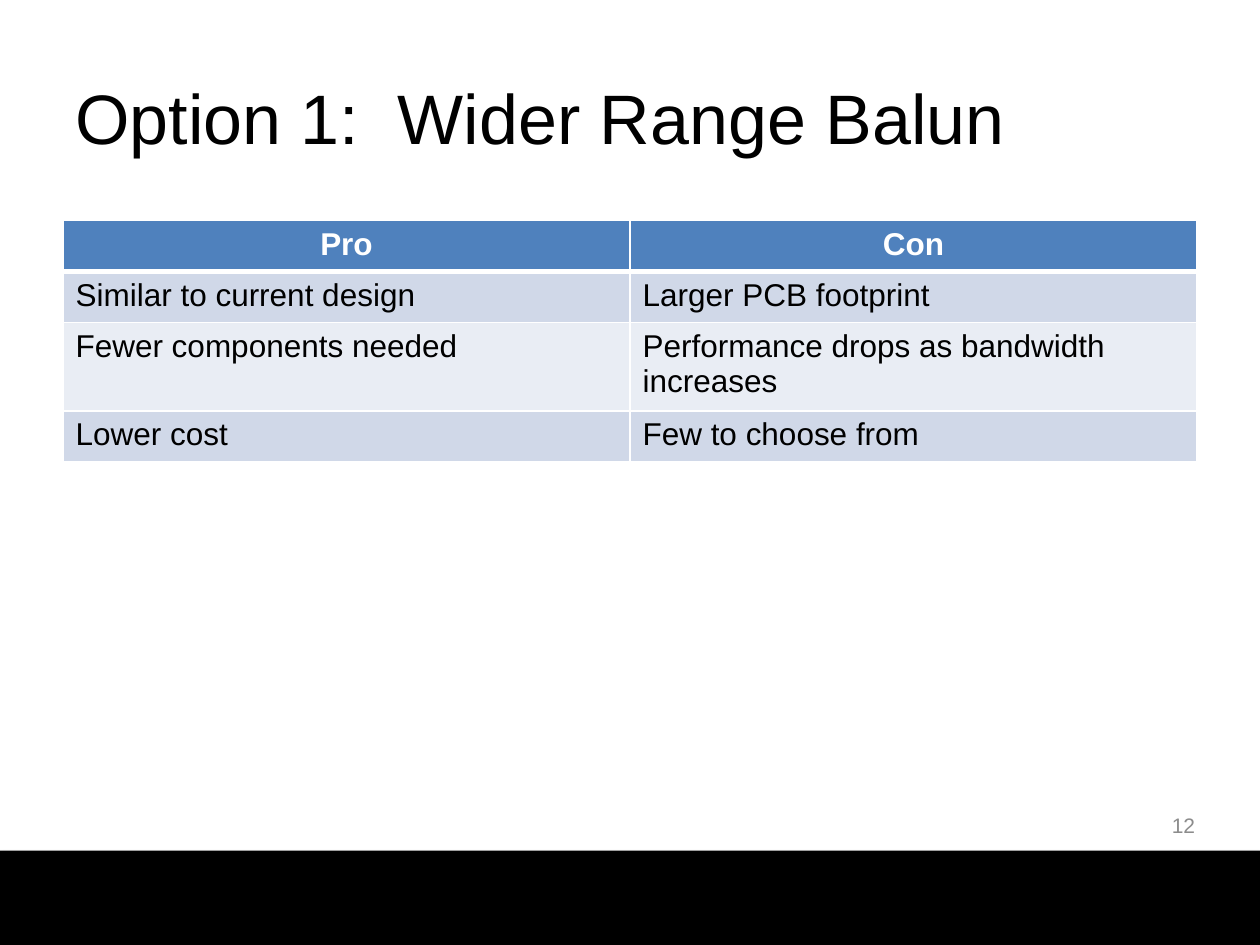
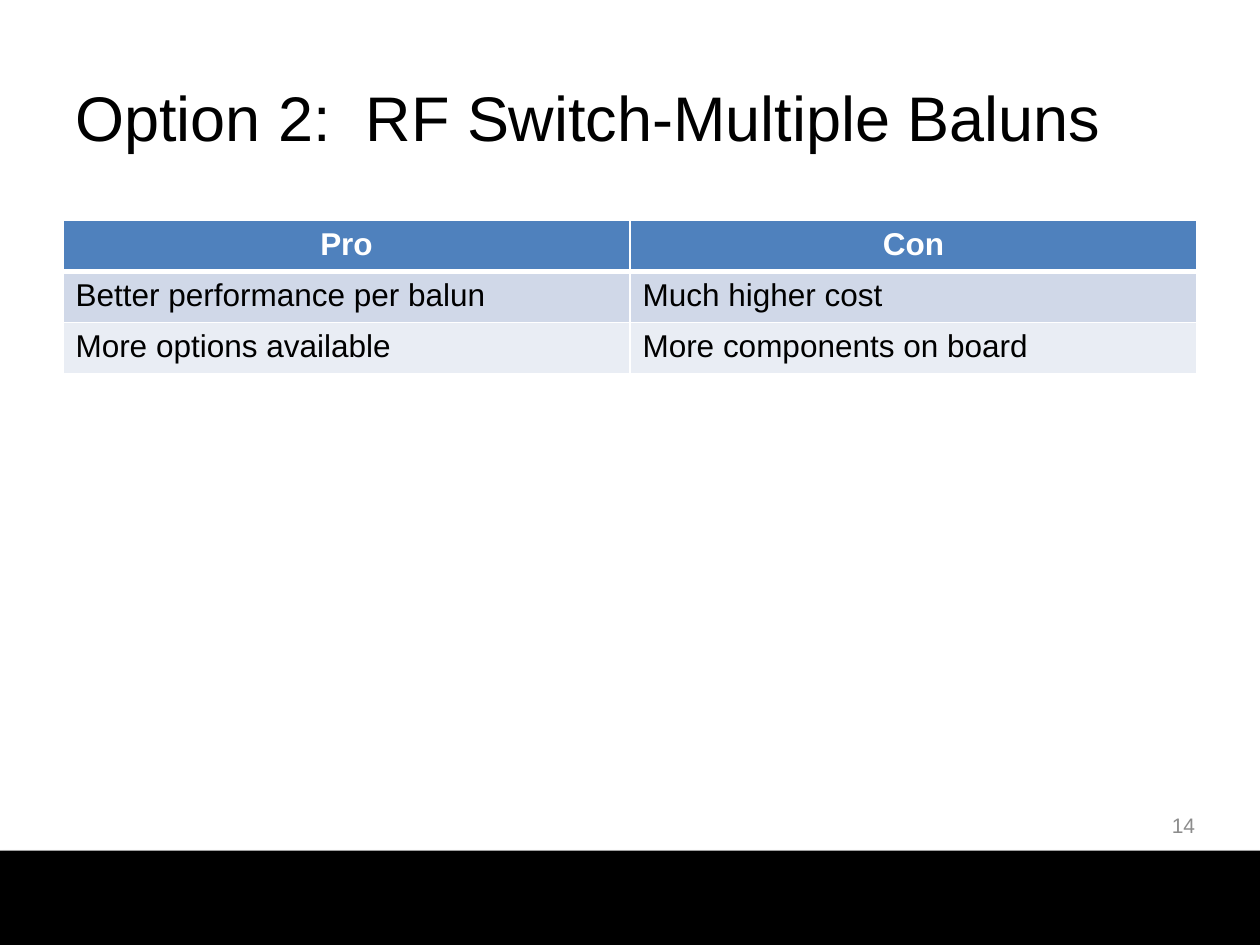
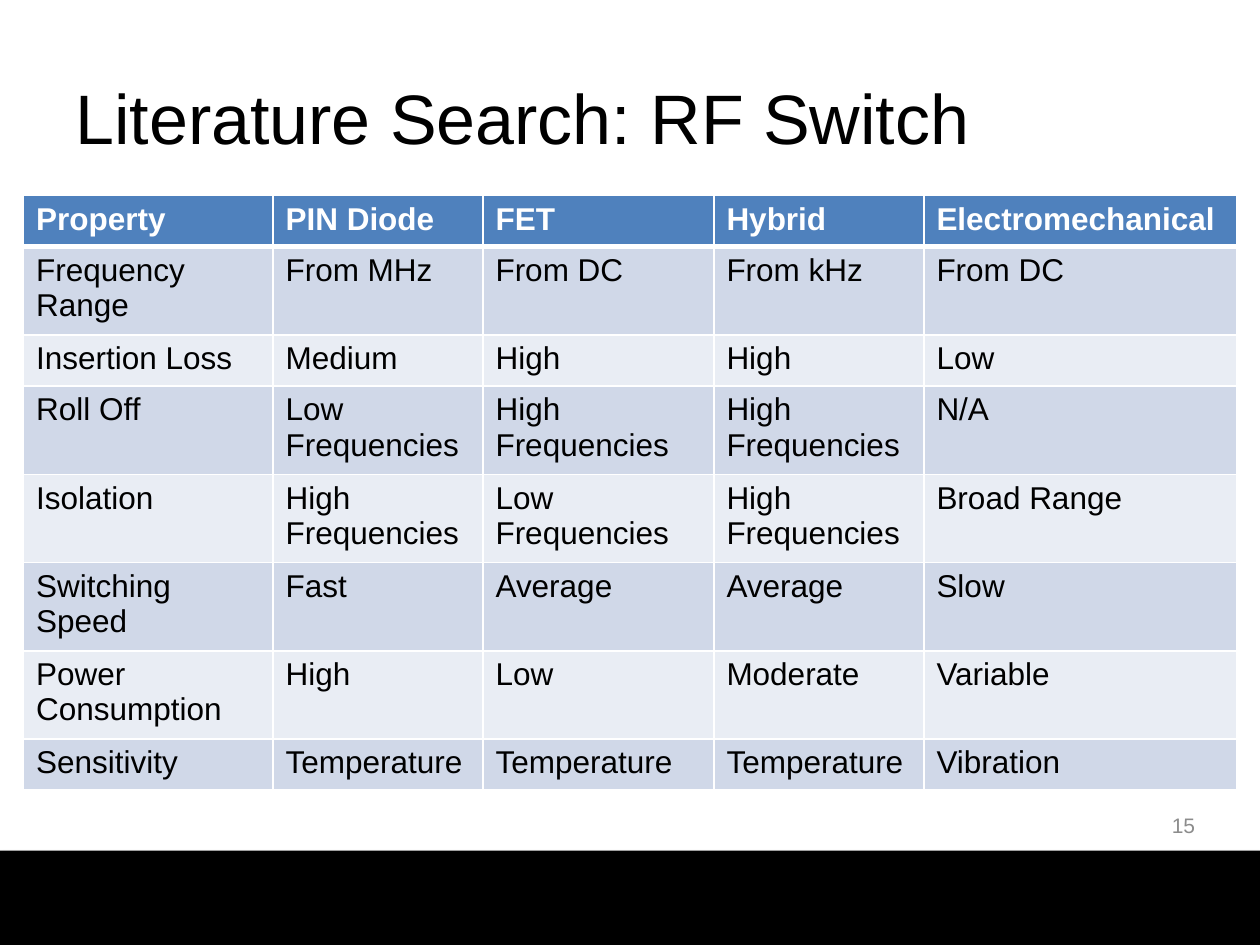
"""Builds three balun and RF switch comparison slides."""
from lxml.etree import SubElement
from pptx import Presentation
from pptx.dml.color import RGBColor
from pptx.enum.shapes import MSO_SHAPE
from pptx.enum.text import MSO_ANCHOR, PP_ALIGN
from pptx.oxml.ns import qn
from pptx.util import Pt

WIDTH, HEIGHT = 720, 540
ROW_H = 29.2
COLORS = {"text": "000000", "band": "000000", "number": "8C8C8C", "white": "FFFFFF",
          "header": "4F81BD", "odd": "D0D8E8", "even": "E9EDF4"}
BAND = (0, 486, WIDTH, 54)
TITLE = (36, 21.6, 648, 90)
NUMBER = (522, 457.2, 168, 28.8)
SHADOW = {"blurRad": Pt(3.1), "dist": Pt(1.8), "dir": 90 * 60000, "rotWithShape": 0}

SLIDES = [
    {"title": "Option 1:  Wider Range Balun", "size": 40, "number": "12",
     "top": 126, "cols": [324, 324], "header_align": PP_ALIGN.CENTER,
     "rows": [
         ("Pro", "Con"),
         ("Similar to current design", "Larger PCB footprint"),
         ("Fewer components needed", "Performance drops as bandwidth increases"),
         ("Lower cost", "Few to choose from")]},
    {"title": "Option 2:  RF Switch-Multiple Baluns", "size": 36, "number": "14",
     "top": 126, "cols": [324, 324], "header_align": PP_ALIGN.CENTER,
     "rows": [
         ("Pro", "Con"),
         ("Better performance per balun", "Much higher cost"),
         ("More options available", "More components on board")]},
    {"title": "Literature Search: RF Switch", "size": 40, "number": "15",
     "top": 111.8, "cols": [142.5, 120, 132, 120, 178.5], "header_align": PP_ALIGN.LEFT,
     "rows": [
         ("Property", "PIN Diode", "FET", "Hybrid", "Electromechanical"),
         ("Frequency Range", "From MHz", "From DC", "From kHz", "From DC"),
         ("Insertion Loss", "Medium", "High", "High", "Low"),
         ("Roll Off", "Low Frequencies", "High Frequencies", "High Frequencies", "N/A"),
         ("Isolation", "High Frequencies", "Low Frequencies", "High Frequencies", "Broad Range"),
         ("Switching Speed", "Fast", "Average", "Average", "Slow"),
         ("Power Consumption", "High", "Low", "Moderate", "Variable"),
         ("Sensitivity", "Temperature", "Temperature", "Temperature", "Vibration")]},
]


def rgb(name):
    return RGBColor.from_string(COLORS[name])


def box(at):
    return [Pt(v) for v in at]


def write(tf, text, color, align=PP_ALIGN.LEFT, **fmt):
    p = tf.paragraphs[0]
    p.alignment = align
    r = p.add_run()
    r.text = text
    r.font.color.rgb = rgb(color)
    for key, value in {"name": "Arial", **fmt}.items():
        setattr(r.font, key, value)


def add_text(s, at, *args, **fmt):
    tf = s.shapes.add_textbox(*box(at)).text_frame
    tf.word_wrap = True
    tf.vertical_anchor = MSO_ANCHOR.MIDDLE
    write(tf, *args, **fmt)


def add_band(s):
    sp = s.shapes.add_shape(MSO_SHAPE.RECTANGLE, *box(BAND))
    sp.fill.solid()
    sp.fill.fore_color.rgb = rgb("band")
    sp.line.fill.background()
    sp.shadow.inherit = False
    effects = sp._element.spPr.find(qn("a:effectLst"))
    shadow = SubElement(effects, qn("a:outerShdw"), {k: str(v) for k, v in SHADOW.items()})
    color = SubElement(shadow, qn("a:srgbClr"), val=COLORS["band"])
    SubElement(color, qn("a:alpha"), val="35000")


def add_borders(cell, **widths):
    tcPr = cell._tc.get_or_add_tcPr()
    for side in "LRTB":
        ln = SubElement(tcPr, qn("a:ln" + side), w=str(Pt(widths.get(side, 1))))
        SubElement(SubElement(ln, qn("a:solidFill")), qn("a:srgbClr"), val=COLORS["white"])


def add_comparison(s, top, cols, rows, header_align):
    width = sum(cols)
    at = ((WIDTH - width) / 2, top, width, ROW_H * len(rows))
    table = s.shapes.add_table(len(rows), len(cols), *box(at)).table
    for column, w in zip(table.columns, cols):
        column.width = Pt(w)
    for i, row in enumerate(rows):
        table.rows[i].height = Pt(ROW_H)
        header = i == 0
        fill = "header" if header else "odd" if i % 2 else "even"
        for j, text in enumerate(row):
            cell = table.cell(i, j)
            add_borders(cell, **{0: {"B": 3}, 1: {"T": 3}}.get(i, {}))
            cell.fill.solid()
            cell.fill.fore_color.rgb = rgb(fill)
            write(cell.text_frame, text, "white" if header else "text",
                  header_align if header else PP_ALIGN.LEFT, size=Pt(18), bold=header)


def main():
    prs = Presentation()
    prs.slide_width, prs.slide_height = Pt(WIDTH), Pt(HEIGHT)
    for data in SLIDES:
        s = prs.slides.add_slide(prs.slide_layouts[6])
        add_band(s)
        add_text(s, NUMBER, data["number"], "number", PP_ALIGN.RIGHT, size=Pt(12))
        add_text(s, TITLE, data["title"], "text", size=Pt(data["size"]))
        add_comparison(s, data["top"], data["cols"], data["rows"], data["header_align"])
    prs.save("out.pptx")


if __name__ == "__main__":
    main()
